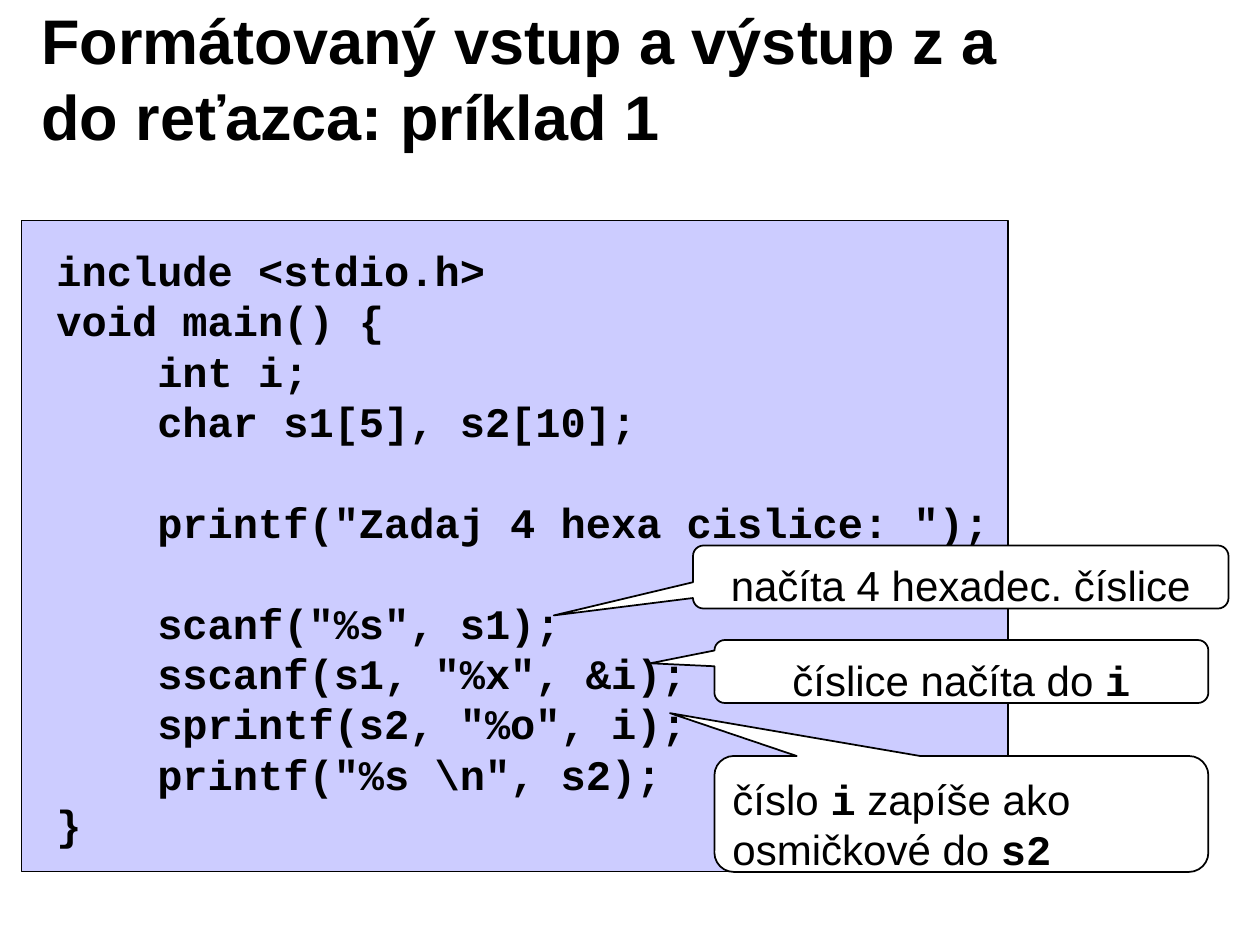
import pptx
import pptx.dml.color
import pptx.enum.shapes
import pptx.enum.text
import pptx.util

Inches = pptx.util.Inches
Pt = pptx.util.Pt
Shapes = pptx.enum.shapes.MSO_SHAPE
Align = pptx.enum.text.PP_ALIGN
Anchor = pptx.enum.text.MSO_ANCHOR
COLORS = {"text": "000000", "panel": "CCCCFF", "callout": "FFFFFF"}
LINE_HEIGHT = 1.2


def add_text(paragraph, runs, size, alignment=Align.LEFT):
    paragraph.alignment = alignment
    paragraph.line_spacing = Pt(size * LINE_HEIGHT)
    for text, font_name, bold in runs:
        run = paragraph.add_run()
        run.text = text
        run.font.name = font_name
        run.font.size = Pt(size)
        run.font.bold = bold
        run.font.color.rgb = pptx.dml.color.RGBColor.from_string(COLORS["text"])


def add_box(kind, position, fill, line_width):
    shape = slide.shapes.add_shape(kind, *map(Inches, position))
    shape.shadow.inherit = False
    shape.fill.solid()
    shape.fill.fore_color.rgb = pptx.dml.color.RGBColor.from_string(COLORS[fill])
    shape.line.color.rgb = pptx.dml.color.RGBColor.from_string(COLORS["text"])
    shape.line.width = Pt(line_width)
    return shape


presentation = pptx.Presentation()
presentation.slide_width = Inches(10)
presentation.slide_height = Inches(7.5)
slide = presentation.slides.add_slide(presentation.slide_layouts[6])

title = slide.shapes.add_textbox(Inches(0.23), Inches(0.15), Inches(8.03), Inches(0.93))
title.text_frame.word_wrap = True
title.text_frame.vertical_anchor = Anchor.MIDDLE
title_runs = [("Formátovaný vstup a výstup z a do reťazca: príklad 1", "Arial", True)]
add_text(title.text_frame.paragraphs[0], title_runs, 36)

add_box(Shapes.RECTANGLE, (0.17, 1.75, 7.83, 5.17), "panel", 0.75)

code = r'''include <stdio.h>
void main() {
    int i;
    char s1[5], s2[10];

    printf("Zadaj 4 hexa cislice: ");

    scanf("%s", s1);
    sscanf(s1, "%x", &i);
    sprintf(s2, "%o", i);
    printf("%s \n", s2);
}'''
listing = slide.shapes.add_textbox(Inches(0.35), Inches(1.83), Inches(7.6), Inches(4.9))
listing.text_frame.word_wrap = False
listing.text_frame.margin_top = Inches(0.11)
listing.text_frame.margin_bottom = 0
paragraph = listing.text_frame.paragraphs[0]
for block_index, block in enumerate(code.split("\n\n")):
    for line_index, line in enumerate(block.split("\n")):
        if block_index or line_index:
            paragraph = listing.text_frame.add_paragraph()
        if block_index and line_index == 0:
            paragraph.space_before = Pt(24 * LINE_HEIGHT)
        add_text(paragraph, [(line, "Courier New", True)], 24)

callouts = [
    ((5.5, 4.33, 4.25, 0.5), (-0.76, 0.61), Align.CENTER,
     [("načíta 4 hexadec. číslice", "Arial", False)]),
    ((5.67, 5.08, 3.92, 0.5), (-0.63, -0.13), Align.CENTER,
     [("číslice načíta do ", "Arial", False), ("i", "Courier New", True)]),
    ((5.67, 6, 3.92, 0.92), (-0.59, -0.87), Align.LEFT,
     [("číslo ", "Arial", False), ("i", "Courier New", True),
      (" zapíše ako osmičkové do ", "Arial", False), ("s2", "Courier New", True)]),
]
for position, tip, alignment, runs in callouts:
    callout = add_box(Shapes.ROUNDED_RECTANGULAR_CALLOUT, position, "callout", 1)
    callout.adjustments[0], callout.adjustments[1] = tip
    frame = callout.text_frame
    frame.word_wrap = True
    frame.vertical_anchor = Anchor.TOP
    frame.margin_top = Inches(0.09)
    frame.margin_bottom = 0
    add_text(frame.paragraphs[0], runs, 24, alignment)

presentation.save("out.pptx")
